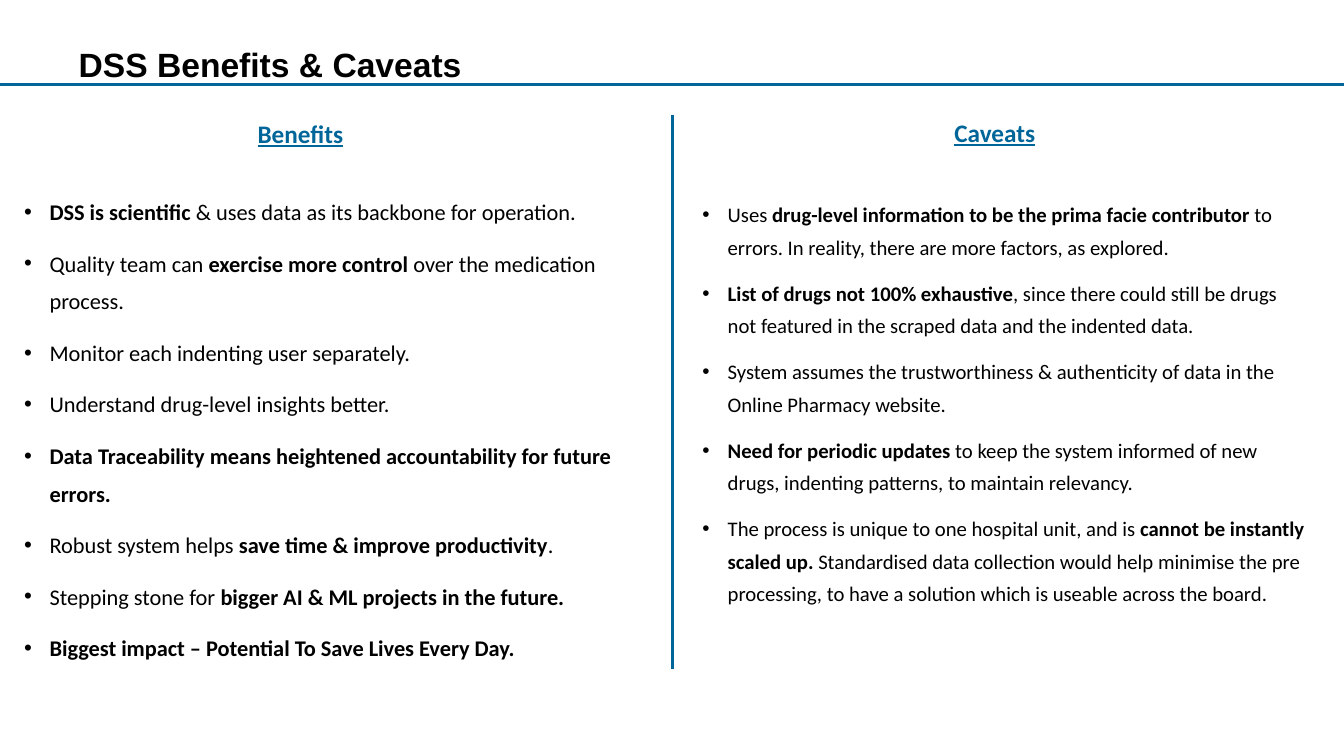
import dataclasses

import lxml.etree
import pptx
import pptx.dml.color
import pptx.enum.shapes
import pptx.enum.text
import pptx.oxml.ns
import pptx.util

Cm = pptx.util.Cm
Pt = pptx.util.Pt
ALIGN = pptx.enum.text.PP_ALIGN
ANCHOR = pptx.enum.text.MSO_ANCHOR

COLORS = {"accent": "006699", "text": "000000"}
WIDTH, HEIGHT = 33.87, 19.05
INDENT = 0.64


@dataclasses.dataclass
class Box:
    left: float
    top: float
    width: float
    height: float


@dataclasses.dataclass
class Column:
    title: str
    head: Box
    body: Box
    size: float
    spacing: float
    points: list[str]


@dataclasses.dataclass
class Rule:
    x1: float
    y1: float
    x2: float
    y2: float


COLUMNS = [
    Column("Benefits", Box(4.17, 2.9, 6.8, 1.02), Box(0.36, 4.6, 15.72, 12.6), 16, 1.4, [
        "**DSS is scientific** & uses data as its backbone for operation.",
        "Quality team can **exercise more control **over the medication process.",
        "Monitor each indenting user separately.",
        "Understand drug-level insights better.",
        "**Data Traceability means heightened accountability for future errors.**",
        "Robust system helps **save time & improve productivity**.",
        "Stepping stone for **bigger AI & ML projects in the future.**",
        "**Biggest impact – Potential To Save Lives Every Day.**",
    ]),
    Column("Caveats", Box(21.67, 2.87, 6.8, 1.02), Box(17.45, 4.78, 15.72, 12.09), 14.8, 1.3, [
        "Uses **drug-level information to be the prima facie contributor** to errors. "
        "In reality, there are more factors, as explored.",
        "**List of drugs not 100% exhaustive**, since there could still be drugs "
        "not featured in the scraped data and the indented data.",
        "System assumes the trustworthiness & authenticity of data in the "
        "Online Pharmacy website.",
        "**Need for periodic updates** to keep the system informed of new drugs, "
        "indenting patterns, to maintain relevancy.",
        "The process is unique to one hospital unit, and is **cannot be instantly "
        "scaled up.** Standardised data collection would help minimise the pre "
        "processing, to have a solution which is useable across the board.",
    ]),
]
RULES = [Rule(0, 2.13, WIDTH, 2.13), Rule(16.94, 2.9, 16.94, 16.87)]


def place(shape, box: Box) -> None:
    shape.left, shape.top = Cm(box.left), Cm(box.top)
    shape.width, shape.height = Cm(box.width), Cm(box.height)


def add_bullet(para) -> None:
    props = para._p.get_or_add_pPr()
    props.set("marL", str(Cm(INDENT)))
    props.set("indent", str(-Cm(INDENT)))
    qn = pptx.oxml.ns.qn
    lxml.etree.SubElement(props, qn("a:buFont")).set("typeface", "Arial")
    lxml.etree.SubElement(props, qn("a:buChar")).set("char", "•")


def write(shape, lines: list[str], *, size: float, font: str = "Calibri",
          color: str = "text", align=ALIGN.LEFT, anchor=ANCHOR.TOP,
          spacing: float = 0.9, before: float = 0, bullet: bool = False,
          underline: bool = False) -> None:
    """Fill a shape with one paragraph per line; ** switches bold on and off."""
    frame = shape.text_frame
    frame.word_wrap = True
    frame.auto_size = pptx.enum.text.MSO_AUTO_SIZE.NONE
    frame.vertical_anchor = anchor
    for row, line in enumerate(lines):
        para = frame.add_paragraph() if row else frame.paragraphs[0]
        para.alignment = align
        para.line_spacing = spacing
        para.space_before = Pt(before)
        if bullet:
            add_bullet(para)
        for part, text in enumerate(line.split("**")):
            if not text:
                continue
            run = para.add_run()
            run.text = text
            run.font.name = font
            run.font.size = Pt(size)
            run.font.bold = part % 2 == 1
            run.font.underline = underline
            run.font.color.rgb = pptx.dml.color.RGBColor.from_string(COLORS[color])


def draw_rule(slide, rule: Rule) -> None:
    line = slide.shapes.add_connector(
        pptx.enum.shapes.MSO_CONNECTOR.STRAIGHT,
        Cm(rule.x1), Cm(rule.y1), Cm(rule.x2), Cm(rule.y2))
    line.line.width = Pt(2.25)
    line.line.color.rgb = pptx.dml.color.RGBColor.from_string(COLORS["accent"])
    lxml.etree.SubElement(line._element.spPr, pptx.oxml.ns.qn("a:effectLst"))


def add_box(slide, box: Box):
    shape = slide.shapes.add_textbox(0, 0, 0, 0)
    place(shape, box)
    return shape


def draw_column(slide, column: Column) -> None:
    write(add_box(slide, column.head), [f"**{column.title}**"], size=18,
          color="accent", align=ALIGN.CENTER, anchor=ANCHOR.MIDDLE, underline=True)
    write(add_box(slide, column.body), column.points, size=column.size,
          spacing=column.spacing, before=10, bullet=True)


def main() -> None:
    deck = pptx.Presentation()
    deck.slide_width, deck.slide_height = Cm(WIDTH), Cm(HEIGHT)
    slide = deck.slides.add_slide(deck.slide_layouts.get_by_name("Title Only"))
    title = slide.shapes.title
    place(title, Box(1.73, 1.17, 20.45, 1.02))
    write(title, ["**DSS Benefits & Caveats**"], size=24, font="Arial",
          anchor=ANCHOR.MIDDLE)
    for rule in RULES:
        draw_rule(slide, rule)
    for column in COLUMNS:
        draw_column(slide, column)
    deck.save("out.pptx")


if __name__ == "__main__":
    main()
